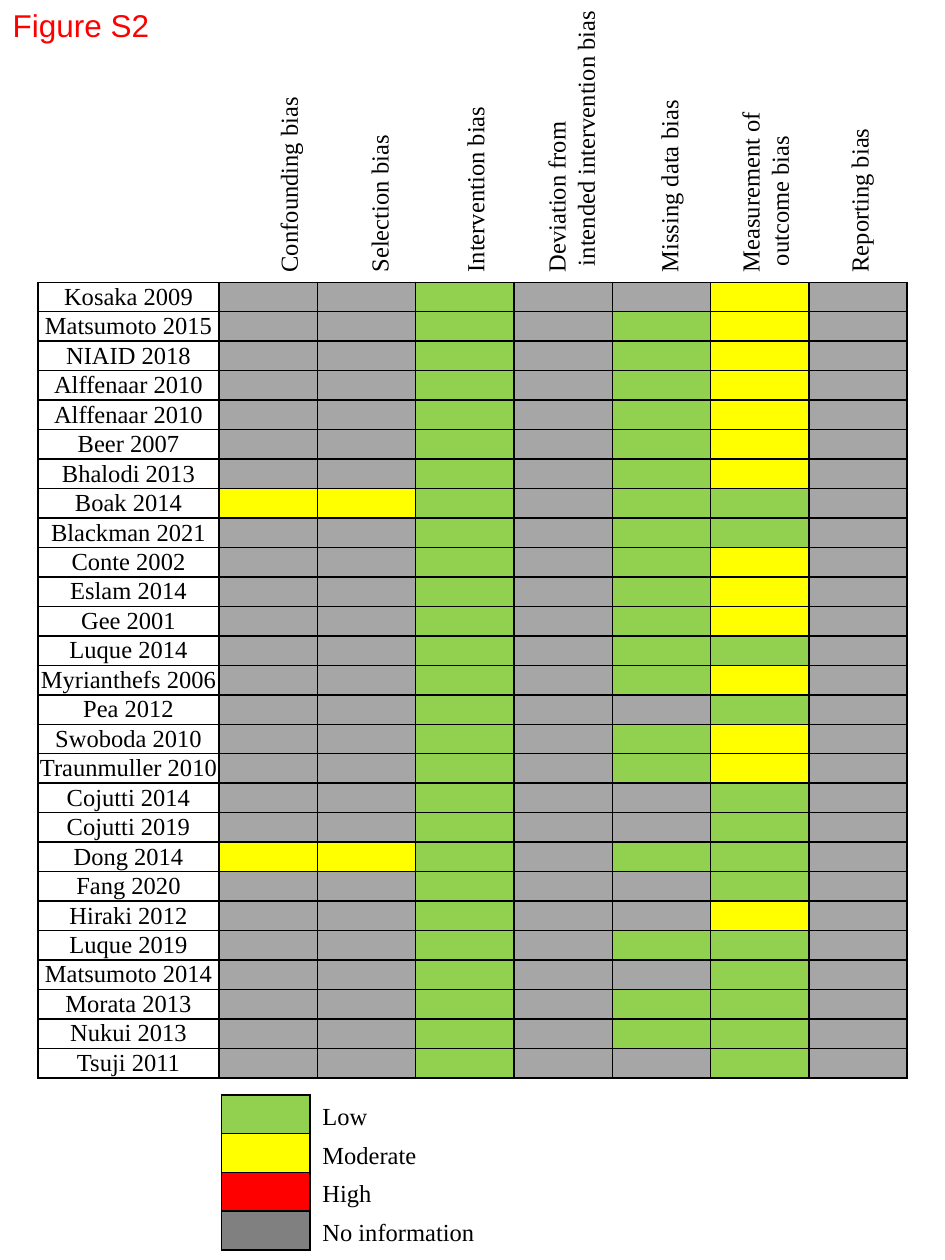
from lxml import etree
from pptx import Presentation, util as u
from pptx.dml.color import RGBColor
from pptx.enum import text
from pptx.oxml.ns import qn

BLACK = RGBColor(0, 0, 0)
RED = RGBColor(0xFF, 0, 0)
GREEN = RGBColor(0x92, 0xD0, 0x50)
YELLOW = RGBColor(0xFF, 0xFF, 0)
LIGHT_GREY = RGBColor(0xA6, 0xA6, 0xA6)
DARK_GREY = RGBColor(0x80, 0x80, 0x80)
RATING_COLOURS = {"L": GREEN, "M": YELLOW, "N": LIGHT_GREY}

# One letter per bias domain: L low, M moderate, N no information
STUDIES = [
    ("Kosaka 2009", "NNLNNMN"), ("Matsumoto 2015", "NNLNLMN"),
    ("NIAID 2018", "NNLNLMN"), ("Alffenaar 2010", "NNLNLMN"),
    ("Alffenaar 2010", "NNLNLMN"), ("Beer 2007", "NNLNLMN"),
    ("Bhalodi 2013", "NNLNLMN"), ("Boak 2014", "MMLNLLN"),
    ("Blackman 2021", "NNLNLLN"), ("Conte 2002", "NNLNLMN"),
    ("Eslam 2014", "NNLNLMN"), ("Gee 2001", "NNLNLMN"),
    ("Luque 2014", "NNLNLLN"), ("Myrianthefs 2006", "NNLNLMN"),
    ("Pea 2012", "NNLNNLN"), ("Swoboda 2010", "NNLNLMN"),
    ("Traunmuller 2010", "NNLNLMN"), ("Cojutti 2014", "NNLNNLN"),
    ("Cojutti 2019", "NNLNNLN"), ("Dong 2014", "MMLNLLN"),
    ("Fang 2020", "NNLNNLN"), ("Hiraki 2012", "NNLNNMN"),
    ("Luque 2019", "NNLNLLN"), ("Matsumoto 2014", "NNLNNLN"),
    ("Morata 2013", "NNLNLLN"), ("Nukui 2013", "NNLNLLN"),
    ("Tsuji 2011", "NNLNNLN"),
]
# Label lines and the centre of each label across the slide
DOMAINS = [
    (["Confounding bias"], 2.29), (["Selection bias"], 3.01),
    (["Intervention bias"], 3.77),
    (["Deviation from", "intended intervention bias"], 4.53),
    (["Missing data bias"], 5.31),
    (["Measurement of", "outcome bias"], 6.07), (["Reporting bias"], 6.82),
]
LEGEND = [("Low", GREEN), ("Moderate", YELLOW), ("High", RED),
          ("No information", DARK_GREY)]

# Grid
GRID_LEFT, GRID_TOP = u.Inches(0.3), u.Inches(2.24)
NAME_WIDTH, COLUMN = u.Inches(1.44), u.Inches(0.78)
GRID_HEIGHT = u.Inches(6.32)
LEGEND_TOP, LEGEND_WIDTH = u.Inches(8.69), u.Inches(0.7)
LEGEND_HEIGHT = u.Inches(1.23)
LABEL_LENGTH, LABEL_BOTTOM = u.Inches(2.4), u.Inches(2.26)


def add_run(paragraph, wording, size=14, font="Times New Roman", colour=BLACK):
    run = paragraph.add_run()
    run.text = wording
    run.font.size = u.Pt(size)
    run.font.name = font
    run.font.color.rgb = colour


def format_cell(cell, colour=None):
    cell.margin_left = cell.margin_right = 0
    cell.margin_top = cell.margin_bottom = 0
    cell.vertical_anchor = text.MSO_ANCHOR.MIDDLE
    properties = cell._tc.get_or_add_tcPr()
    for side in ("a:lnL", "a:lnR", "a:lnT", "a:lnB"):
        line = etree.SubElement(properties, qn(side), w=str(u.Pt(1)))
        fill = etree.SubElement(line, qn("a:solidFill"))
        etree.SubElement(fill, qn("a:srgbClr"), val=str(BLACK))
    if colour is None:
        cell.fill.background()
    else:
        cell.fill.solid()
        cell.fill.fore_color.rgb = colour
        # A small end mark keeps an empty cell from stretching its row
        paragraph = cell.text_frame.paragraphs[0]
        etree.SubElement(paragraph._p, qn("a:endParaRPr"), sz="1000")


presentation = Presentation()
presentation.slide_width, presentation.slide_height = u.Inches(7.5), u.Inches(10)
slide = presentation.slides.add_slide(presentation.slide_layouts[5])

# Title
title = slide.shapes.title
title.left, title.top, title.width, title.height = 0, 0, u.Inches(1.54), u.Inches(0.4)
paragraph = title.text_frame.paragraphs[0]
paragraph.alignment = text.PP_ALIGN.LEFT
add_run(paragraph, "Figure S2", 18, "Arial", RED)

# Ratings of each study
frame = slide.shapes.add_table(len(STUDIES), len(DOMAINS) + 1, GRID_LEFT, GRID_TOP,
                               NAME_WIDTH + len(DOMAINS) * COLUMN, GRID_HEIGHT)
ratings_table = frame.table
ratings_table.first_row = ratings_table.horz_banding = False
for index, column in enumerate(ratings_table.columns):
    column.width = COLUMN if index else NAME_WIDTH
for row, (study, ratings) in zip(ratings_table.rows, STUDIES):
    name_cell, *rating_cells = row.cells
    format_cell(name_cell)
    paragraph = name_cell.text_frame.paragraphs[0]
    paragraph.alignment = text.PP_ALIGN.CENTER
    add_run(paragraph, study)
    for cell, rating in zip(rating_cells, ratings):
        format_cell(cell, RATING_COLOURS[rating])

# Upright domain labels, all starting just above the grid
for lines, centre in DOMAINS:
    height = u.Inches(0.11 + 0.23 * len(lines))
    label = slide.shapes.add_textbox(u.Inches(centre) - LABEL_LENGTH // 2,
                                     LABEL_BOTTOM - (LABEL_LENGTH + height) // 2,
                                     LABEL_LENGTH, height)
    label.rotation = 270
    label.text_frame.word_wrap = True
    for index, line in enumerate(lines):
        paragraph = label.text_frame.paragraphs[0]
        if index:
            paragraph = label.text_frame.add_paragraph()
            paragraph._p.get_or_add_pPr().set("marL", str(u.Inches(0.05)))
        add_run(paragraph, line)

# Legend
legend_left = GRID_LEFT + NAME_WIDTH + u.Inches(0.02)
frame = slide.shapes.add_table(len(LEGEND), 1, legend_left, LEGEND_TOP,
                               LEGEND_WIDTH, LEGEND_HEIGHT)
legend_table = frame.table
legend_table.first_row = legend_table.horz_banding = False
legend_text = slide.shapes.add_textbox(legend_left + LEGEND_WIDTH, u.Inches(8.62),
                                       u.Inches(1.78), u.Inches(1.3)).text_frame
legend_text.word_wrap = True
for index, (meaning, colour) in enumerate(LEGEND):
    format_cell(legend_table.cell(index, 0), colour)
    paragraph = legend_text.add_paragraph() if index else legend_text.paragraphs[0]
    paragraph.line_spacing = u.Pt(22)
    add_run(paragraph, meaning)

presentation.save("out.pptx")
